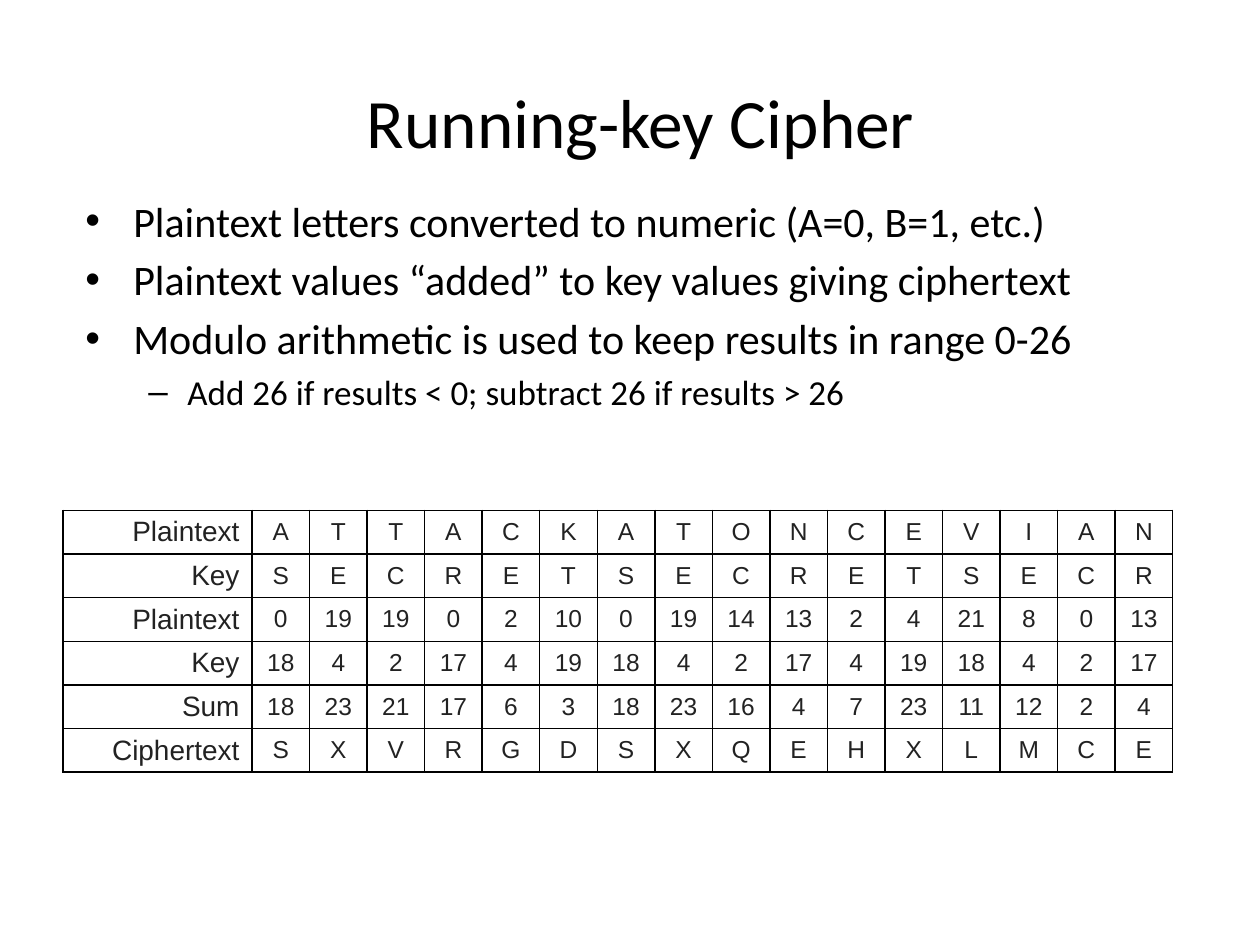
from lxml import etree
from pptx import Presentation
from pptx.dml.color import RGBColor
from pptx.enum.text import MSO_ANCHOR, PP_ALIGN
from pptx.oxml.ns import qn
from pptx.util import Inches, Pt

CENTER, RIGHT = PP_ALIGN.CENTER, PP_ALIGN.RIGHT
MIDDLE, TOP = MSO_ANCHOR.MIDDLE, MSO_ANCHOR.TOP
COLORS = {"text": "000000", "cell": "222222", "border": "000000"}

# Per level: bullet sign, text size, left margin, hanging indent
LEVELS = [("•", 24, 0.38, 0.38), ("–", 20, 0.81, 0.31)]
POINTS = [
    (0, "Plaintext letters converted to numeric (A=0, B=1, etc.)"),
    (0, "Plaintext values “added” to key values giving ciphertext"),
    (0, "Modulo arithmetic is used to keep results in range 0-26"),
    (1, "Add 26 if results < 0; subtract 26 if results > 26"),
]
CIPHER_ROWS = [
    ("Plaintext", "A T T A C K A T O N C E V I A N"),
    ("Key", "S E C R E T S E C R E T S E C R"),
    ("Plaintext", "0 19 19 0 2 10 0 19 14 13 2 4 21 8 0 13"),
    ("Key", "18 4 2 17 4 19 18 4 2 17 4 19 18 4 2 17"),
    ("Sum", "18 23 21 17 6 3 18 23 16 4 7 23 11 12 2 4"),
    ("Ciphertext", "S X V R G D S X Q E H X L M C E"),
]


def style(paragraph, size, font, color, align=None):
    paragraph.alignment = align
    for run in paragraph.runs:
        run.font.size = Pt(size)
        run.font.name = font
        run.font.color.rgb = RGBColor.from_string(COLORS[color])


def add_text_frame(slide, left, top, width, height, anchor):
    box = slide.shapes.add_textbox(
        Inches(left), Inches(top), Inches(width), Inches(height))
    frame = box.text_frame
    frame.word_wrap = True
    frame.vertical_anchor = anchor
    return frame


def add_title(slide, title):
    frame = add_text_frame(slide, 0.75, 0.67, 8.67, 0.58, MIDDLE)
    frame.text = title
    style(frame.paragraphs[0], 39.6, "Calibri", "text", CENTER)


def set_bullet(paragraph, sign, margin, hanging):
    properties = paragraph._p.get_or_add_pPr()
    properties.set("marL", str(Inches(margin)))
    properties.set("indent", str(-Inches(hanging)))
    etree.SubElement(properties, qn("a:buFont"), typeface="Arial")
    etree.SubElement(properties, qn("a:buChar"), char=sign)


def add_points(slide, points):
    frame = add_text_frame(slide, 0.58, 1.5, 9, 2, TOP)
    frame.text = "\n".join(text for _, text in points)
    for paragraph, (level, _) in zip(frame.paragraphs, points):
        sign, size, margin, hanging = LEVELS[level]
        paragraph.level = level
        paragraph.space_before = Pt(size * 0.2)
        style(paragraph, size, "Calibri", "text")
        set_bullet(paragraph, sign, margin, hanging)


def set_borders(cell):
    properties = cell._tc.get_or_add_tcPr()
    for position, side in enumerate(("a:lnL", "a:lnR", "a:lnT", "a:lnB")):
        line = etree.Element(qn(side), w=str(Pt(1)))
        fill = etree.SubElement(line, qn("a:solidFill"))
        etree.SubElement(fill, qn("a:srgbClr"), val=COLORS["border"])
        properties.insert(position, line)


def fill_cell(cell, text, size, align):
    cell.text = text
    cell.fill.background()
    cell.vertical_anchor = MIDDLE
    cell.margin_top = cell.margin_bottom = Inches(0.04)
    style(cell.text_frame.paragraphs[0], size, "Arial", "cell", align)
    set_borders(cell)


def add_cipher_table(slide, cipher_rows):
    letter_count = len(cipher_rows[0][1].split())
    width, height, label_width = Inches(8.81), Inches(2.08), Inches(1.5)
    table = slide.shapes.add_table(
        len(cipher_rows), letter_count + 1,
        Inches(0.5), Inches(4.05), width, height).table
    table.first_row = table.horz_banding = False
    for column in table.columns:
        column.width = (width - label_width) // letter_count
    table.columns[0].width = label_width
    for row, (label, values) in zip(table.rows, cipher_rows):
        label_cell, *value_cells = row.cells
        fill_cell(label_cell, label, 16, RIGHT)
        for cell, value in zip(value_cells, values.split()):
            fill_cell(cell, value, 14, CENTER)


def main():
    presentation = Presentation()
    presentation.slide_width = Inches(10)
    presentation.slide_height = Inches(7.5)
    slide = presentation.slides.add_slide(presentation.slide_layouts[6])
    add_title(slide, "Running-key Cipher")
    add_points(slide, POINTS)
    add_cipher_table(slide, CIPHER_ROWS)
    presentation.save("out.pptx")


if __name__ == "__main__":
    main()
